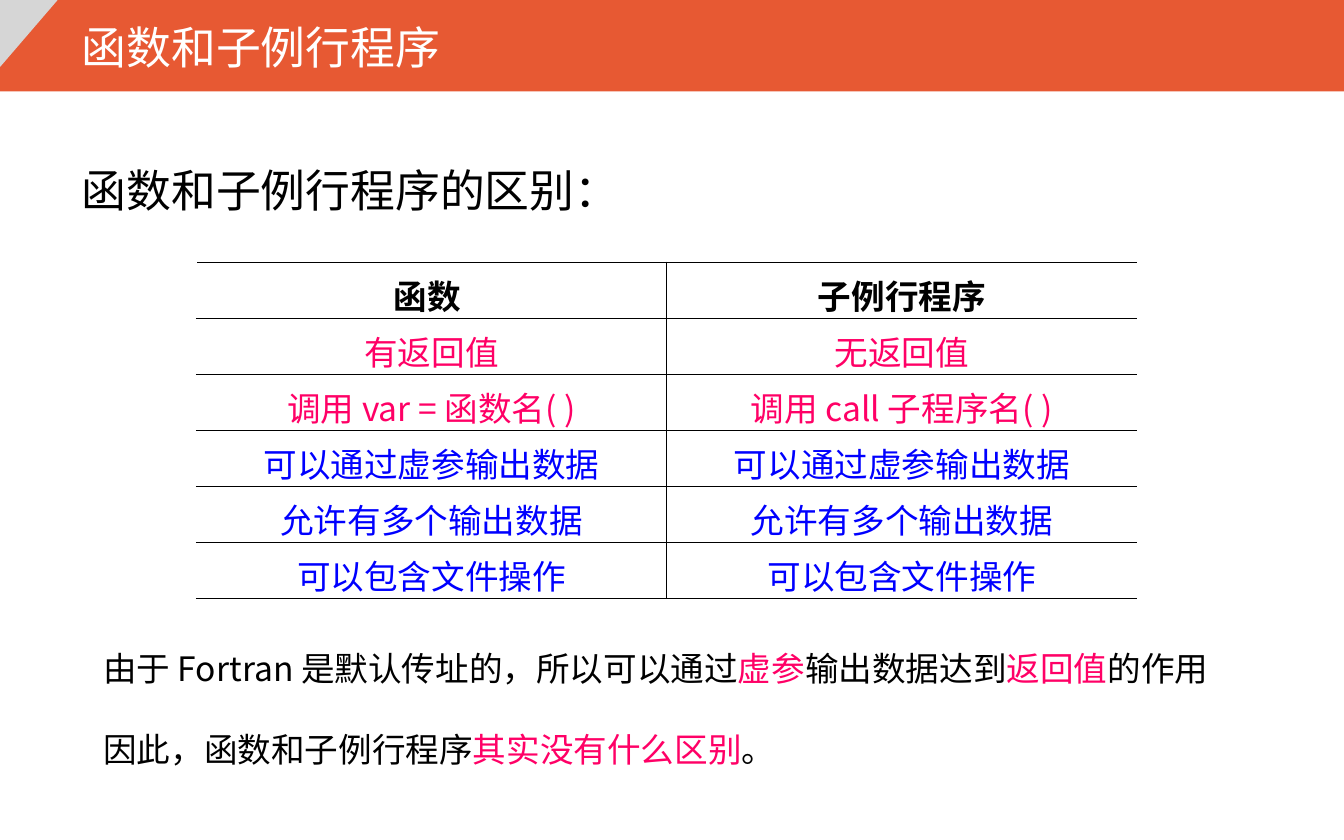
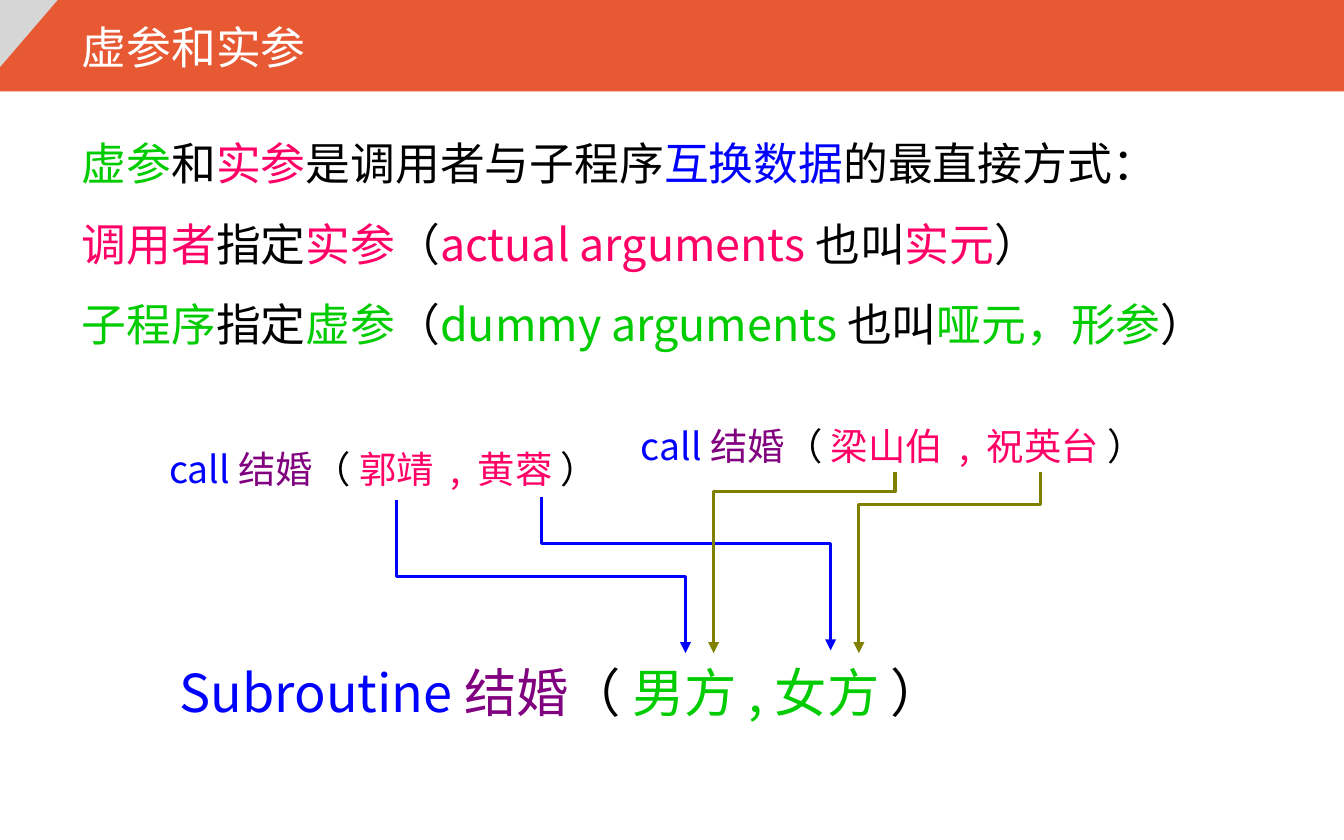
"""Build two slides on Fortran functions, subroutines and their arguments."""
from dataclasses import dataclass
from typing import Any, NamedTuple

from lxml.etree import SubElement as Sub
from pptx import Presentation as Deck
from pptx.dml.color import RGBColor as Rgb
from pptx.enum.shapes import MSO_CONNECTOR as Link, MSO_SHAPE as Form
from pptx.enum.text import MSO_ANCHOR as Anchor, MSO_AUTO_SIZE as Auto, PP_ALIGN as Align
from pptx.oxml.ns import qn
from pptx.util import Inches, Pt

HUES = {
    "band": "E75933", "fold": "D6D6D6", "white": "FFFFFF", "black": "000000",
    "pink": "FF0066", "blue": "0000FF", "green": "00CC00", "plum": "800080",
    "olive": "808000",
}
NOTO = "Noto Sans CJK SC"
Line = list[tuple[str, str]]


@dataclass
class Note:
    left: float
    top: float
    width: float
    height: float
    size: int
    lines: list[Line]
    face: str = NOTO
    wrap: bool = True
    space: float = 1
    gap: float = 0


class Row(NamedTuple):
    cells: tuple[str, str]
    hue: str
    faces: tuple[str, str] = (NOTO, NOTO)
    bold: bool = False


class Arrow(NamedTuple):
    start: tuple[float, float]
    end: tuple[float, float]
    bend: float
    hue: str


def tint(name: str) -> Rgb:
    return Rgb.from_string(HUES[name])


def apply(item: Any, form: dict[str, Any]) -> None:
    for key, value in form.items():
        setattr(item, key, value)


def add_run(para: Any, text: str, hue: str, size: int, face: str, bold: bool = False) -> None:
    run = para.add_run()
    run.text = text
    run.font.color.rgb = tint(hue)
    apply(run.font, {"size": Pt(size), "name": face, "bold": bold})
    Sub(run.font._element, qn("a:ea"), typeface=NOTO)


def add_note(slide: Any, note: Note) -> None:
    spot = (note.left, note.top, note.width, note.height)
    frame = slide.shapes.add_textbox(*map(Inches, spot)).text_frame
    apply(frame, {"word_wrap": note.wrap, "auto_size": Auto.SHAPE_TO_FIT_TEXT})
    for i, line in enumerate(note.lines):
        para = frame.add_paragraph() if i else frame.paragraphs[0]
        para.line_spacing = note.space
        if i and note.gap:
            para.space_before = Pt(note.gap)
        for text, hue in line:
            add_run(para, text, hue, note.size, note.face)


def add_block(slide: Any, form: Any, width: float, height: float, hue: str) -> Any:
    block = slide.shapes.add_shape(form, 0, 0, Inches(width), Inches(height))
    block.shadow.inherit = False
    block.fill.solid()
    block.fill.fore_color.rgb = tint(hue)
    block.line.fill.background()
    return block


def add_page(deck: Any, title: str) -> Any:
    slide = deck.slides.add_slide(deck.slide_layouts[6])
    add_block(slide, Form.RECTANGLE, 10, 0.68, "band")
    fold = add_block(slide, Form.RIGHT_TRIANGLE, 0.43, 0.5, "fold")
    fold.element.spPr.xfrm.set("flipV", "1")
    add_note(slide, Note(0.51, 0.1, 3.39, 0.5, 24, [[(title, "white")]], "Arial"))
    return slide


def add_edge(cell: Any, side: str, hue: str) -> None:
    edge = Sub(cell._tc.get_or_add_tcPr(), qn(f"a:ln{side}"), w=str(Pt(0.45)))
    Sub(Sub(edge, qn("a:solidFill")), qn("a:srgbClr"), val=HUES[hue])


def add_grid(slide: Any, rows: list[Row]) -> None:
    spot = map(Inches, (1.46, 1.95, 7, 2.5))
    grid = slide.shapes.add_table(len(rows), 2, *spot).table
    apply(grid, {"first_row": False, "horz_banding": False})
    for i, row in enumerate(rows):
        for j, (text, face) in enumerate(zip(row.cells, row.faces)):
            cell = grid.cell(i, j)
            apply(cell, {
                "vertical_anchor": Anchor.MIDDLE,
                "margin_top": Inches(0.06), "margin_bottom": Inches(0.02),
            })
            sides = {"L": "black", "R": "black", "T": "black", "B": "black"}
            sides["R" if j else "L"] = "white"
            for side, hue in sides.items():
                add_edge(cell, side, hue)
            cell.fill.background()
            para = cell.text_frame.paragraphs[0]
            para.alignment = Align.CENTER
            add_run(para, text, row.hue, 18, face, row.bold)


def add_arrow(slide: Any, arrow: Arrow) -> None:
    (x1, y1), (x2, y2) = arrow.start, arrow.end
    wide, high = y2 - y1, abs(x2 - x1)
    left, top = (x1 + x2 - wide) / 2, (y1 + y2 - high) / 2
    spot = map(Inches, (left, top, left + wide, top + high))
    link = slide.shapes.add_connector(Link.ELBOW, *spot)
    link.line.width = Pt(1.75)
    link.line.color.rgb = tint(arrow.hue)
    props = link.element.spPr
    right = x2 > x1
    props.xfrm.set("rot", str((270 if right else 90) * 60000))
    if right:
        props.xfrm.set("flipH", "1")
    guides = props.find(qn("a:prstGeom")).get_or_add_avLst()
    Sub(guides, qn("a:gd"), name="adj1", fmla=f"val {round(arrow.bend * 100000)}")
    Sub(props.find(qn("a:ln")), qn("a:tailEnd"), type="triangle")
    Sub(props, qn("a:effectLst"))


def wed(verb: str, names: str, hue: str) -> list[Line]:
    return [[(verb + " ", "blue"), ("结婚", "plum"), ("（ ", "black"),
             (names, hue), (" ）", "black")]]


def define(who: str, what: str, term: str, also: str, hue: str) -> Line:
    return [(who, hue), ("指定", "black"), (what, hue), ("（", "black"),
            (term + " ", hue), ("也叫", "black"), (also, hue), ("）", "black")]


def add_first(deck: Any) -> None:
    slide = add_page(deck, "函数和子例行程序")
    add_note(slide, Note(0.51, 1.08, 8.59, 0.58, 24,
                         [[("函数和子例行程序的区别：", "black")]], space=1.2))
    add_grid(slide, [
        Row(("函数 ", "子例行程序"), "black", (NOTO, "Calibri"), True),
        Row(("有返回值", "无返回值"), "pink", ("Calibri", "Calibri")),
        Row(("调用 var = 函数名( )", "调用 call 子程序名( )"), "pink"),
        *(Row((text, text), "blue") for text in
          ("可以通过虚参输出数据", "允许有多个输出数据", "可以包含文件操作")),
    ])
    add_note(slide, Note(0.67, 4.77, 8.55, 1, 18, [
        [("由于 Fortran 是默认传址的，所以可以通过", "black"), ("虚参", "pink"),
         ("输出数据达到", "black"), ("返回值", "pink"), ("的作用", "black")],
        [("因此，函数和子例行程序", "black"), ("其实没有什么区别", "pink"), ("。", "black")],
    ], wrap=False, gap=22))


def add_second(deck: Any) -> None:
    slide = add_page(deck, "虚参和实参")
    add_note(slide, Note(0.51, 0.76, 8.59, 2.5, 24, [
        [("虚参", "green"), ("和", "black"), ("实参", "pink"),
         ("是调用者与子程序", "black"), ("互换数据", "blue"), ("的最直接方式：", "black")],
        define("调用者", "实参", "actual arguments", "实元", "pink"),
        define("子程序", "虚参", "dummy arguments", "哑元，形参", "green"),
    ], space=1.5))
    for note in (
        Note(1.24, 4.86, 6.16, 0.57, 28, wed("Subroutine", "男方 , 女方", "green"), wrap=False),
        Note(1.16, 3.27, 3.65, 0.44, 20, wed("call", "郭靖  ,  黄蓉", "pink"), wrap=False),
        Note(4.67, 3.1, 4.15, 0.44, 20, wed("call", "梁山伯  ,  祝英台", "pink"), wrap=False),
    ):
        add_note(slide, note)
    for arrow in (
        Arrow((2.95, 3.72), (5.1, 4.86), 0.5, "blue"),
        Arrow((4.03, 3.7), (6.18, 4.84), 0.3, "blue"),
        Arrow((6.66, 3.51), (5.31, 4.86), 0.11, "olive"),
        Arrow((7.74, 3.51), (6.39, 4.86), 0.18, "olive"),
    ):
        add_arrow(slide, arrow)


def main() -> None:
    deck = Deck()
    apply(deck, {"slide_width": Inches(10), "slide_height": Inches(6.25)})
    add_first(deck)
    add_second(deck)
    deck.save("out.pptx")


if __name__ == "__main__":
    main()
